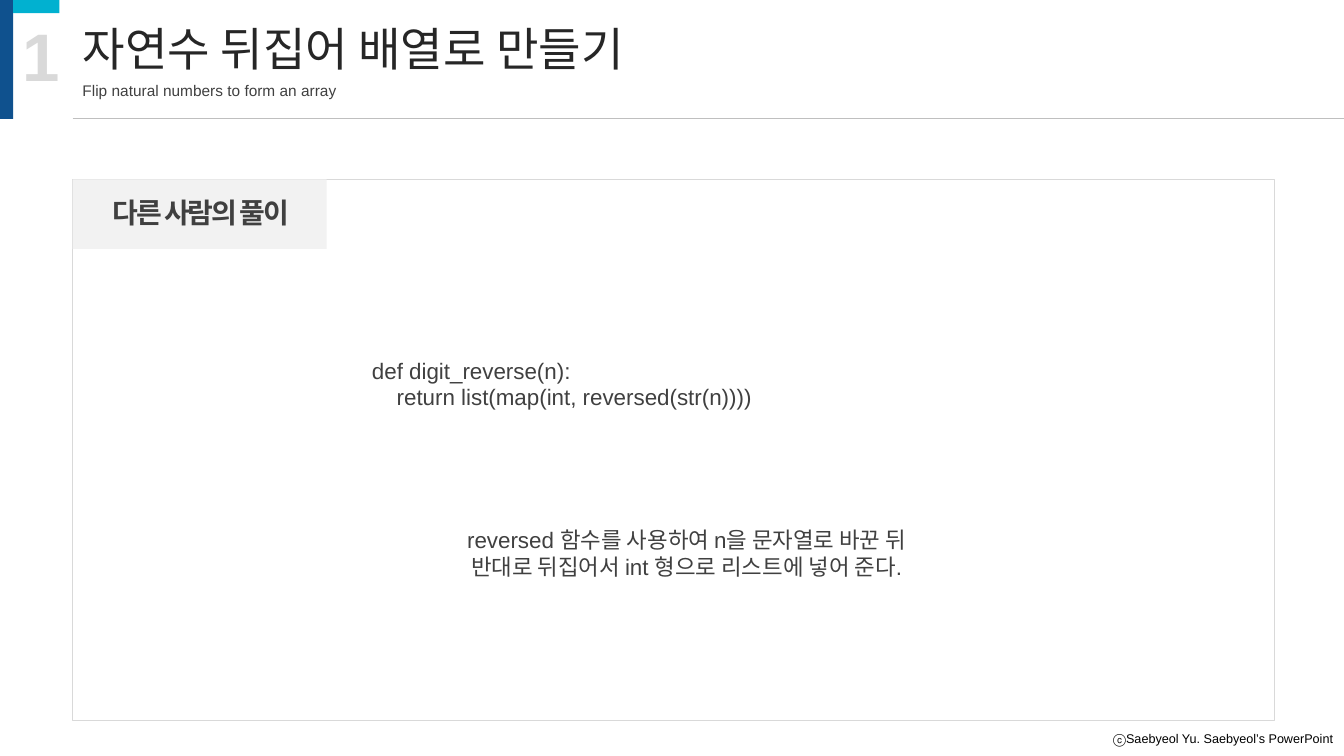
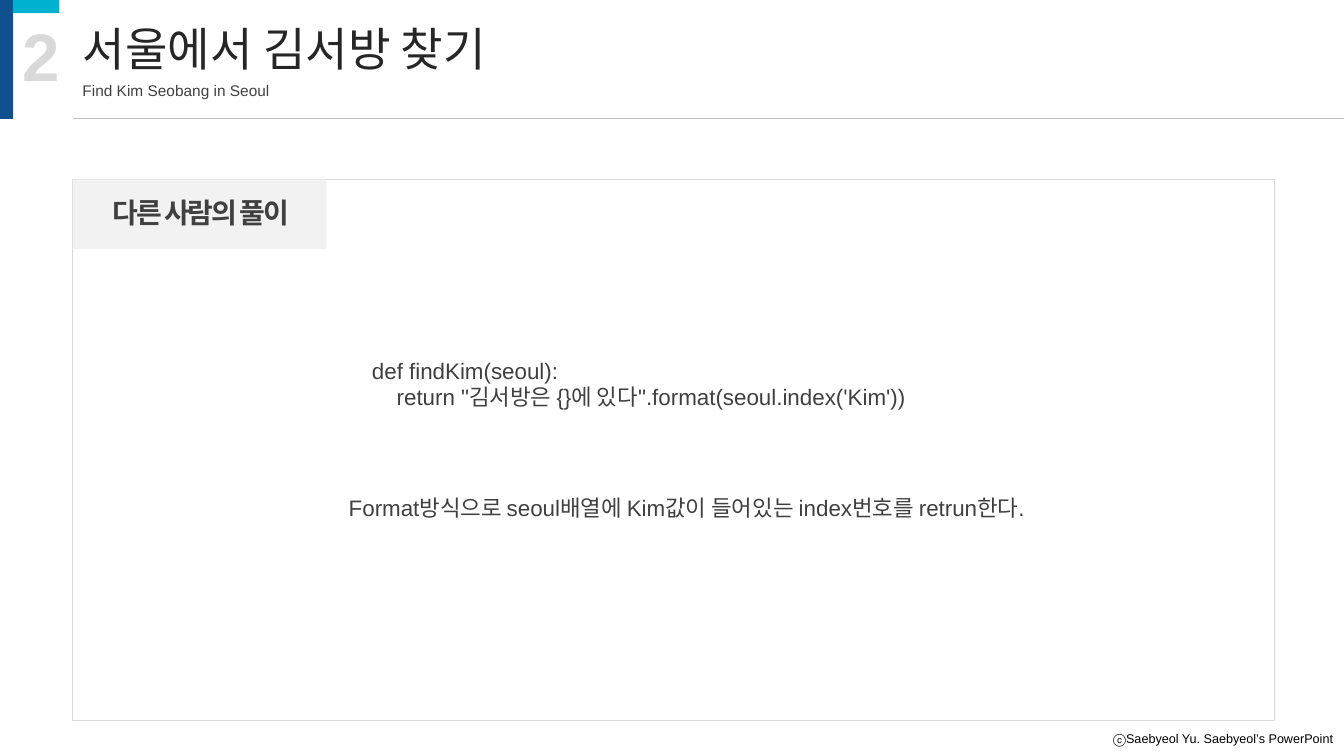
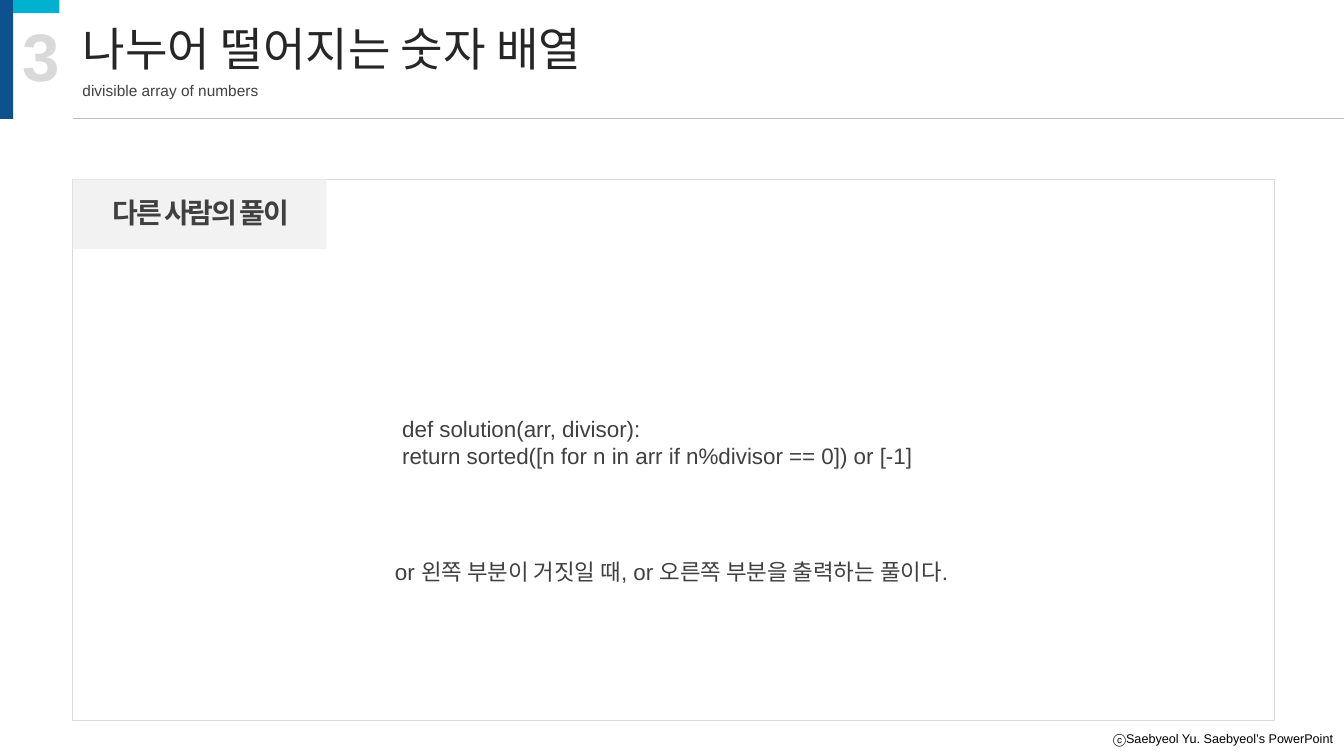
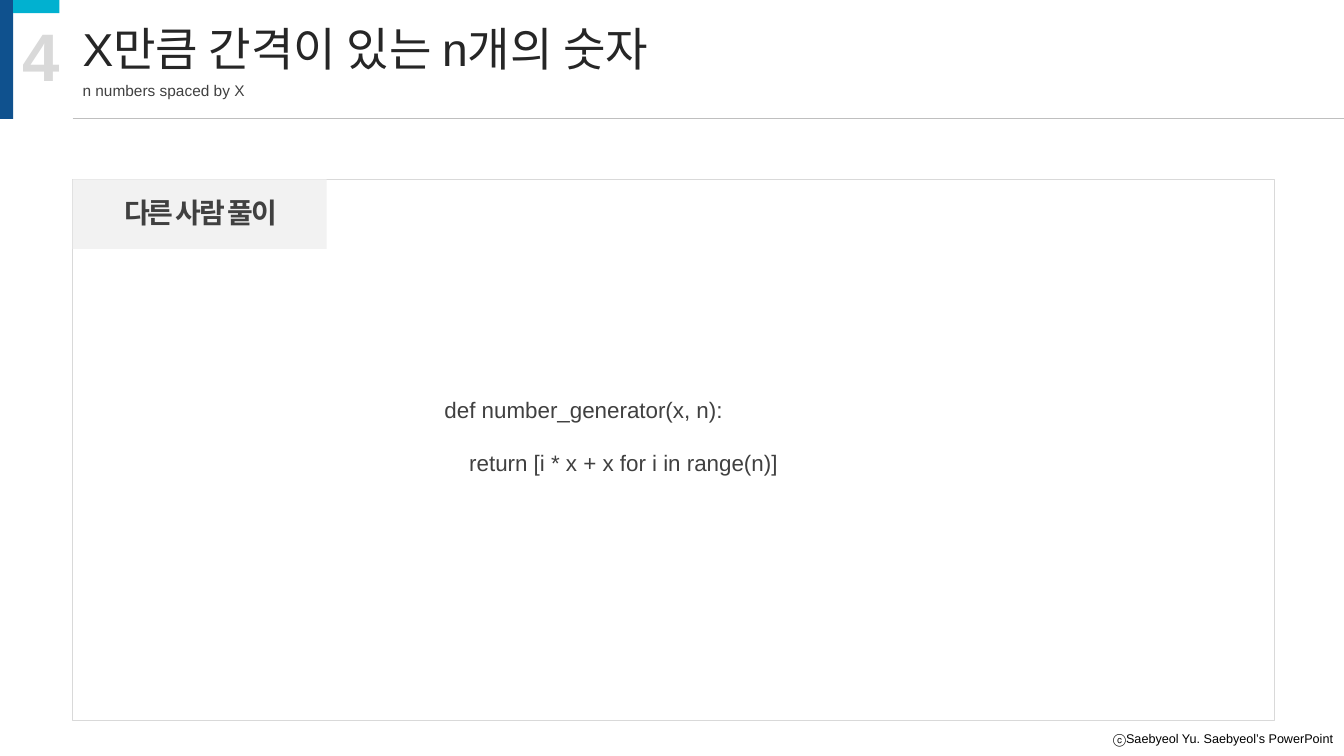
from pptx import Presentation
from pptx.dml.color import RGBColor
from pptx.enum.shapes import MSO_CONNECTOR, MSO_SHAPE
from pptx.enum.text import MSO_ANCHOR, PP_ALIGN
from pptx.oxml.ns import qn
from pptx.util import Inches, Pt
from lxml.etree import SubElement

WIDTH, HEIGHT = 13.33, 7.5
MARGIN = 0.72
FONT = "Arial"
COLORS = {
    "white": "FFFFFF", "black": "000000", "title": "262626", "text": "404040",
    "rule": "BFBFBF", "pale": "D9D9D9", "tab": "F2F2F2",
    "navy": "0F518E", "cyan": "01B1D0",
}
FOOTER = "ⓒSaebyeol Yu. Saebyeol’s PowerPoint"

# Boxes are (left, top, width, height) in inches.
SLIDES = [
    {
        "title": "자연수 뒤집어 배열로 만들기",
        "subtitle": ("Flip natural numbers to form an array", 2.73),
        "label": "다른 사람의 풀이",
        "code": (["def digit_reverse(n):",
                  "    return list(map(int, reversed(str(n))))"],
                 (3.59, 3.49, 6.15, 0.64)),
        "note": (["reversed 함수를 사용하여 n을 문자열로 바꾼 뒤",
                  "반대로 뒤집어서 int 형으로 리스트에 넣어 준다."],
                 (3.25, 5.17, 7.12, 0.64)),
    },
    {
        "title": "서울에서 김서방 찾기",
        "subtitle": ("Find Kim Seobang in Seoul", 2.07),
        "label": "다른 사람의 풀이",
        "code": (["def findKim(seoul):",
                  "    return \"김서방은 {}에 있다\".format(seoul.index('Kim'))"],
                 (3.59, 3.49, 6.15, 0.64)),
        "note": (["Format방식으로 seoul배열에 Kim값이 들어있는 index번호를 retrun한다."],
                 (3.25, 4.85, 7.12, 0.37)),
    },
    {
        "title": "나누어 떨어지는 숫자 배열",
        "subtitle": ("divisible array of numbers", 1.96),
        "label": "다른 사람의 풀이",
        "code": (["def solution(arr, divisor):",
                  "return sorted([n for n in arr if n%divisor == 0]) or [-1]"],
                 (3.89, 4.07, 5.55, 0.64)),
        "note": (["or 왼쪽 부분이 거짓일 때, or 오른쪽 부분을 출력하는 풀이다."],
                 (3.65, 5.49, 6.02, 0.37)),
    },
    {
        "title": "X만큼 간격이 있는 n개의 숫자",
        "subtitle": ("n numbers spaced by X", 1.82),
        "label": "다른 사람 풀이",
        "code": (["def number_generator(x, n):",
                  "    return [i * x + x for i in range(n)]"],
                 (4.31, 3.88, 4.72, 0.91)),
        "code_gap": 19,
    },
]


def color(name):
    return RGBColor.from_string(COLORS[name])


def inches(lengths):
    return [Inches(length) for length in lengths]


def write(box, lines, size, ink="text", bold=False, align=PP_ALIGN.LEFT,
          wrap=True, spacing=None, gap=0):
    """Fill a text shape; spacing is between letters, gap between paragraphs, in points."""
    frame = box.text_frame
    frame.word_wrap = wrap
    frame.vertical_anchor = MSO_ANCHOR.TOP
    for index, line in enumerate(lines):
        para = frame.add_paragraph() if index else frame.paragraphs[0]
        para.alignment = align
        if index and gap:
            para.space_before = Pt(gap)
        span = para.add_run()
        span.text = line
        span.font.name = FONT
        span.font.size = Pt(size)
        span.font.bold = bold
        span.font.color.rgb = color(ink)
        if spacing:
            span.font._element.set("spc", str(round(spacing * 100)))


def add_text(page, area, lines, size, **style):
    box = page.shapes.add_textbox(*inches(area))
    write(box, lines, size, **style)
    return box


def add_rectangle(page, area, fill, line=None):
    shape = page.shapes.add_shape(MSO_SHAPE.RECTANGLE, *inches(area))
    shape.shadow.inherit = False
    shape.fill.solid()
    shape.fill.fore_color.rgb = color(fill)
    if line:
        shape.line.color.rgb = color(line)
        shape.line.width = Pt(1)
    else:
        shape.line.fill.background()
    return shape


def add_rule(page, left, right, top):
    rule = page.shapes.add_connector(MSO_CONNECTOR.STRAIGHT, *inches((left, top, right, top)))
    rule.line.color.rgb = color("rule")
    rule.line.width = Pt(0.5)
    SubElement(rule._element.spPr, qn("a:effectLst"))
    return rule


def furnish_layout(layout, page):
    """Draw the shared parts on a page, then move them to its layout."""
    footer = add_text(page, (10.92, 7.2, 2.4, 0.25), [FOOTER], 9, ink="black",
                      align=PP_ALIGN.RIGHT, wrap=False)
    parts = [
        footer,
        add_rectangle(page, (MARGIN, 1.78, 11.92, 5.37), "white", line="pale"),
        add_rectangle(page, (MARGIN, 1.78, 2.52, 0.69), "tab"),
        add_rectangle(page, (0, 0, 0.13, 1.18), "navy"),
        add_rectangle(page, (0.13, 0, 0.46, 0.13), "cyan"),
        add_rule(page, MARGIN, WIDTH, 1.17),
    ]
    for part in parts:
        layout.element.cSld.spTree.append(part._element)


def fill_page(page, number, content):
    title = page.shapes.title
    title.left, title.top, title.width, title.height = inches((MARGIN, 0.15, 7.19, 0.66))
    write(title, [content["title"]], 33, ink="title")

    subtitle, width = content["subtitle"]
    add_text(page, (MARGIN, 0.76, width, 0.29), [subtitle], 11, wrap=False)
    add_text(page, (0.12, 0.09, 0.58, 0.91), [str(number)], 48, ink="pale",
             bold=True, wrap=False)
    add_text(page, (0.82, 1.89, 2.34, 0.43), [content["label"]], 20, bold=True,
             align=PP_ALIGN.CENTER, spacing=-1.5)

    code, area = content["code"]
    add_text(page, area, code, 16, align=PP_ALIGN.JUSTIFY, gap=content.get("code_gap", 0))
    if "note" in content:
        note, area = content["note"]
        add_text(page, area, note, 16, align=PP_ALIGN.CENTER)


def main():
    deck = Presentation()
    deck.slide_width, deck.slide_height = inches((WIDTH, HEIGHT))
    layout = deck.slide_layouts.get_by_name("Title Only")
    for number, content in enumerate(SLIDES, 1):
        page = deck.slides.add_slide(layout)
        if number == 1:
            furnish_layout(layout, page)
        fill_page(page, number, content)
    deck.save("out.pptx")


if __name__ == "__main__":
    main()
